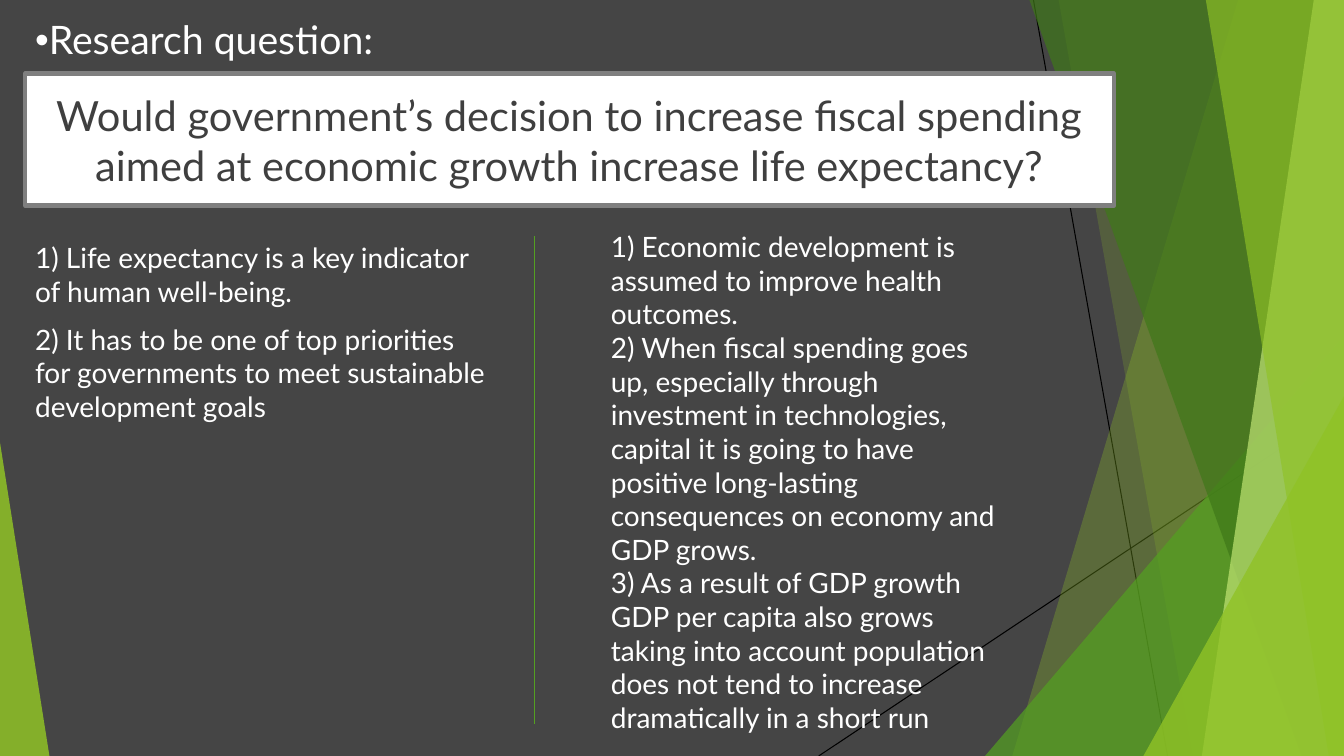
"""Build the research question slide."""
from lxml import etree
from pptx import Presentation
from pptx.dml.color import RGBColor
from pptx.enum.shapes import MSO_CONNECTOR, MSO_SHAPE
from pptx.enum.text import MSO_ANCHOR, MSO_AUTO_SIZE, PP_ALIGN
from pptx.oxml.ns import qn
from pptx.util import Inches, Pt

LINE = MSO_CONNECTOR.STRAIGHT
RECT, WEDGE = MSO_SHAPE.RECTANGLE, MSO_SHAPE.ISOSCELES_TRIANGLE
TOP, MIDDLE = MSO_ANCHOR.TOP, MSO_ANCHOR.MIDDLE
GROW, FIXED = MSO_AUTO_SIZE.SHAPE_TO_FIT_TEXT, MSO_AUTO_SIZE.NONE
LEFT, CENTER = PP_ALIGN.LEFT, PP_ALIGN.CENTER
WIDTH, HEIGHT = 13.33, 7.5
LIME, GREEN, FOREST, PALE = "90C226", "54A021", "3F7819", "C0E474"
WHITE, BLACK, DARK = "FFFFFF", "000000", "454545"
FONT = "Lato"

QUERY = ("Would government’s decision to increase fiscal spending "
         "aimed at economic growth increase life expectancy?")
REASONS = [
    "1) Life expectancy is a key indicator of human well-being.",
    "2) It has to be one of top priorities for governments to meet "
    "sustainable development goals",
]
LINKS = [
    "1) Economic development is assumed to improve health outcomes.",
    "2) When fiscal spending goes up, especially through investment in "
    "technologies, capital it is going to have positive long-lasting "
    "consequences on economy and GDP grows.",
    "3) As a result of GDP growth GDP per capita also grows taking into "
    "account population does not tend to increase dramatically in a short run",
]


def paint(fill, color, alpha=100):
    """Give a fill a solid colour with a percentage of opacity."""
    fill.solid()
    fill.fore_color.rgb = RGBColor.from_string(color)
    if alpha < 100:
        tone = fill._xPr.find(".//" + qn("a:srgbClr"))
        etree.SubElement(tone, qn("a:alpha"), val=str(alpha * 1000))


def assign(target, values):
    """Set each attribute named in a dict of format values."""
    for name, value in values.items():
        setattr(target, name, value)


def add_line(slide, start, end, color, width):
    """Draw a straight line without a shadow."""
    line = slide.shapes.add_connector(LINE, *map(Inches, start + end))
    paint(line.line.fill, color)
    line.line.width = Pt(width)
    etree.SubElement(line._element.spPr, qn("a:effectLst"))


def finish(shape, color, alpha):
    """Paint a borderless shape without a shadow."""
    shape.shadow.inherit = False
    shape.line.fill.background()
    paint(shape.fill, color, alpha)


def add_pane(slide, top, base, color, alpha):
    """Draw a slanted pane that reaches the right edge of the slide."""
    corners = [(WIDTH, 0), (WIDTH, HEIGHT), (base, HEIGHT)]
    form = slide.shapes.build_freeform(Inches(top), 0)
    form.add_line_segments([(Inches(x), Inches(y)) for x, y in corners])
    finish(form.convert_to_shape(), color, alpha)


def add_wedge(slide, left, top, width, peak, color, alpha):
    """Draw a right triangle that stands on the bottom of the slide."""
    box = left, top, width, HEIGHT - top
    wedge = slide.shapes.add_shape(WEDGE, *map(Inches, box))
    wedge.adjustments[0] = peak
    finish(wedge, color, alpha)


def add_text(shape, texts, size, color=WHITE, align=LEFT, gap=0, **frame):
    """Fill a shape with evenly spaced paragraphs."""
    body = shape.text_frame
    assign(body, {"word_wrap": True, "vertical_anchor": TOP,
                  "auto_size": FIXED, **frame})
    for index, text in enumerate(texts):
        para = body.paragraphs[0] if index == 0 else body.add_paragraph()
        run = para.add_run()
        run.text = text
        assign(para, {"alignment": align,
                      "space_before": Pt(gap if index else 0)})
        assign(run.font, {"name": FONT, "size": Pt(size)})
        run.font.color.rgb = RGBColor.from_string(color)
    return body


def add_box(slide, box, texts, size, **style):
    """Place a text box and return its text frame."""
    shape = slide.shapes.add_textbox(*map(Inches, box))
    return add_text(shape, texts, size, **style)


def add_bullet(para):
    """Hang a round bullet to the left of a paragraph."""
    props = para._p.get_or_add_pPr()
    props.set("marL", "0")
    props.set("indent", str(-Inches(0.25)))
    etree.SubElement(props, qn("a:buFont"), typeface="Arial")
    etree.SubElement(props, qn("a:buChar"), char="•")


def add_decor(slide):
    """Draw the thin lines and green facets behind the text."""
    add_line(slide, (10.25, 0), (11.58, HEIGHT), BLACK, 0.75)
    add_line(slide, (WIDTH, 4.03), (8.12, HEIGHT), BLACK, 0.75)
    add_pane(slide, 12.28, 10.04, LIME, 30)
    add_pane(slide, 10.5, 11.83, LIME, 20)
    add_wedge(slide, 9.77, 3.33, 3.56, 1, GREEN, 72)
    add_pane(slide, 10.21, 12.91, FOREST, 70)
    add_pane(slide, 13.03, 11.92, PALE, 70)
    add_pane(slide, 11.96, 13.18, LIME, 65)
    add_wedge(slide, 11.34, 3.93, 1.99, 1, LIME, 80)
    add_wedge(slide, 0, 4.39, 0.49, 0, LIME, 85)


def add_title(slide):
    """Place the framed research question."""
    box = 0.25, 0.73, 10.8, 1.31
    title = slide.shapes.add_shape(RECT, *map(Inches, box))
    finish(title, WHITE, 100)
    paint(title.line.fill, "7F7F7F")
    title.line.width = Pt(3)
    add_text(title, [QUERY], 29.7, color="3F3F3F", align=CENTER,
             vertical_anchor=MIDDLE)


def main():
    """Build and save the slide."""
    deck = Presentation()
    assign(deck, {"slide_width": Inches(WIDTH),
                  "slide_height": Inches(HEIGHT)})
    slide = deck.slides.add_slide(deck.slide_layouts[6])
    paint(slide.background.fill, DARK)
    add_decor(slide)
    add_title(slide)
    add_box(slide, (0.25, 2.34, 4.7, 3.24), REASONS, 20, gap=10)
    label = add_box(slide, (0.25, 0.16, 4.69, 3.24),
                    ["Research question:"], 28).paragraphs[0]
    assign(label, {"line_spacing": 0.9, "space_after": Pt(6)})
    add_bullet(label)
    add_box(slide, (5.96, 2.23, 4.08, 5.15), LINKS, 20, auto_size=GROW)
    add_line(slide, (5.3, 2.34), (5.3, 7.18), GREEN, 1)
    deck.save("out.pptx")


if __name__ == "__main__":
    main()
